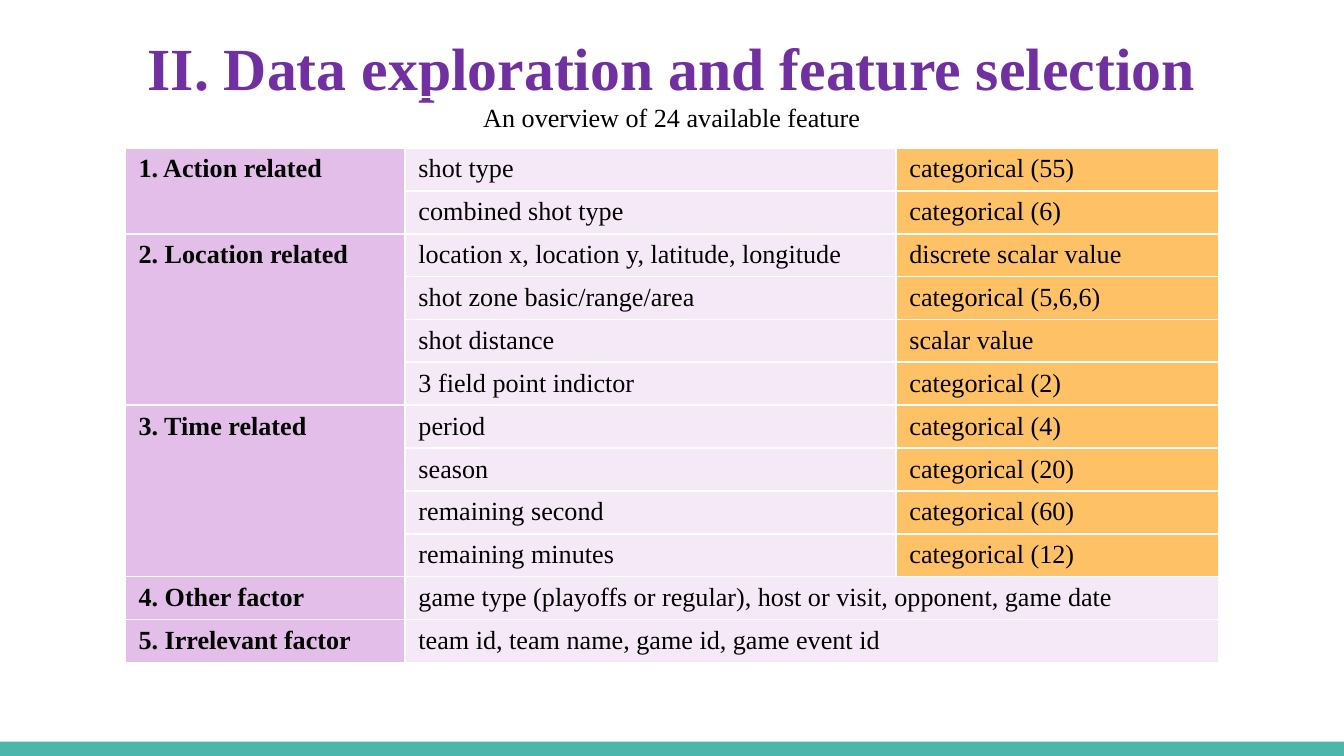
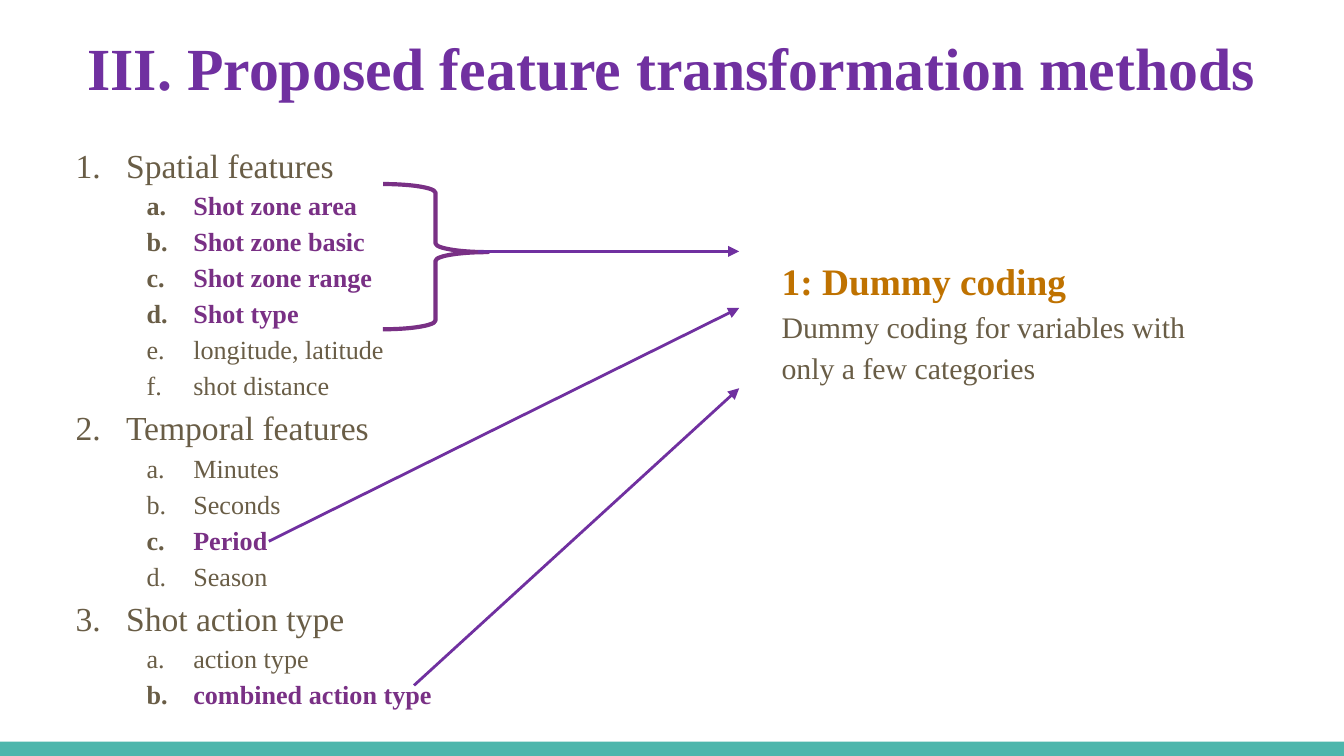
"""Builds two slides on shot data: a feature overview table and the feature transformation methods."""
from dataclasses import dataclass

from lxml.etree import SubElement
from pptx import Presentation
from pptx.dml.color import RGBColor
from pptx.enum.shapes import MSO_CONNECTOR as Connector, MSO_SHAPE as Shape
from pptx.enum.text import MSO_ANCHOR as Anchor, PP_ALIGN as Align
from pptx.oxml.ns import qn
from pptx.util import Pt


@dataclass(frozen=True)
class Theme:
    font: str = "Times New Roman"
    title: str = "7030A0"
    band: str = "4DB6AC"
    ink: str = "000000"
    body: str = "695D46"
    chosen: str = "793085"
    method: str = "BF7200"
    group_fill: str = "E2BEE8"
    feature_fill: str = "F5E9F7"
    kind_fill: str = "FFC166"
    title_size: int = 32
    method_size: int = 20
    heading_size: int = 18
    note_size: int = 16
    item_size: int = 14
    spacing: float = 1.15


THEME = Theme()
WIDTH, HEIGHT, BAND = 720, 405, 7.6
INSET = 7.2

OVERVIEW_TITLE = "II. Data exploration and feature selection"
OVERVIEW_CAPTION = "An overview of 24 available feature"
FEATURE_GROUPS = [
    ("1. Action related", [
        ("shot type", "categorical (55)"),
        ("combined shot type", "categorical (6)"),
    ]),
    ("2. Location related", [
        ("location x, location y, latitude, longitude", "discrete scalar value"),
        ("shot zone basic/range/area", "categorical (5,6,6)"),
        ("shot distance", "scalar value"),
        ("3 field point indictor", "categorical (2)"),
    ]),
    ("3. Time related", [
        ("period", "categorical (4)"),
        ("season", "categorical (20)"),
        ("remaining second", "categorical (60)"),
        ("remaining minutes", "categorical (12)"),
    ]),
    ("4. Other factor", [
        ("game type (playoffs or regular), host or visit, opponent, game date", None),
    ]),
    ("5. Irrelevant factor", [
        ("team id, team name, game id, game event id", None),
    ]),
]
OVERVIEW_LEFT, OVERVIEW_TOP = 67, 52
COLUMN_WIDTHS = (150, 263, 173)
CAPTION_HEIGHT, ROW_HEIGHT = 27.3, 22.97

METHODS_TITLE = "III. Proposed feature transformation methods"
METHOD = "1: Dummy coding"
METHOD_NOTE = "Dummy coding for variables with only a few categories"
OUTLINE = [
    ("Spatial features", ["Shot zone area", "Shot zone basic", "Shot zone range",
                          "Shot type", "longitude, latitude", "shot distance"]),
    ("Temporal features", ["Minutes", "Seconds", "Period", "Season"]),
    ("Shot action type", ["action type", "combined action type"]),
]
DUMMY_CODED = {"Shot zone area", "Shot zone basic", "Shot zone range", "Shot type",
               "Period", "combined action type"}
BRACE = (205.2, 98.6, 56.2, 77.8)
BRACE_ADJUSTMENTS = (0.083, 0.469)
ARROW_TIP_X = 396
ARROWS = [((144, 290), 165), ((221.8, 367.2), 208), ((256.3, 134.7), 134.7)]


def colour(value):
    return RGBColor.from_string(value)


def style(font, size, value, bold=False):
    font.name, font.size, font.bold = THEME.font, Pt(size), bold
    font.color.rgb = colour(value)


def add_text_frame(slide, box, anchor=Anchor.TOP):
    frame = slide.shapes.add_textbox(*map(Pt, box)).text_frame
    frame.word_wrap = True
    frame.vertical_anchor = anchor
    frame.margin_left = frame.margin_right = Pt(INSET)
    frame.margin_top = frame.margin_bottom = Pt(INSET)
    return frame


def add_titled_slide(deck, title):
    slide = deck.slides.add_slide(deck.slide_layouts[6])
    band = slide.shapes.add_shape(
        Shape.RECTANGLE, *map(Pt, (0, HEIGHT - BAND, WIDTH, BAND)))
    band.shadow.inherit = False
    band.fill.solid()
    band.fill.fore_color.rgb = colour(THEME.band)
    band.line.fill.background()
    heading = add_text_frame(slide, (24.5, 6.5, 671, 55.4), Anchor.BOTTOM).paragraphs[0]
    heading.text = title
    heading.alignment = Align.CENTER
    style(heading.runs[0].font, THEME.title_size, THEME.title, bold=True)
    return slide


def fill_cell(cell, text, fill=None, bold=False, align=Align.LEFT):
    cell.margin_left = cell.margin_right = Pt(INSET)
    cell.margin_top, cell.margin_bottom = Pt(3.6), Pt(0)
    cell.vertical_anchor = Anchor.TOP
    if fill:
        cell.fill.solid()
        cell.fill.fore_color.rgb = colour(fill)
    else:
        cell.fill.background()
    line = cell.text_frame.paragraphs[0]
    line.text = text
    line.alignment = align
    style(line.font, THEME.item_size, THEME.ink, bold)
    for run in line.runs:
        style(run.font, THEME.item_size, THEME.ink, bold)


def add_overview(slide):
    feature_count = sum(len(features) for _, features in FEATURE_GROUPS)
    overview = slide.shapes.add_table(
        feature_count + 1, len(COLUMN_WIDTHS), Pt(OVERVIEW_LEFT), Pt(OVERVIEW_TOP),
        Pt(sum(COLUMN_WIDTHS)), Pt(CAPTION_HEIGHT + feature_count * ROW_HEIGHT)).table
    overview.first_row = overview.horz_banding = False
    for column, width in zip(overview.columns, COLUMN_WIDTHS):
        column.width = Pt(width)
    for index, row in enumerate(overview.rows):
        row.height = Pt(ROW_HEIGHT if index else CAPTION_HEIGHT)
        for cell in row.cells:
            fill_cell(cell, "")

    overview.cell(0, 0).merge(overview.cell(0, 2))
    fill_cell(overview.cell(0, 0), OVERVIEW_CAPTION, align=Align.CENTER)
    top = 1
    for group, features in FEATURE_GROUPS:
        if len(features) > 1:
            overview.cell(top, 0).merge(overview.cell(top + len(features) - 1, 0))
        fill_cell(overview.cell(top, 0), group, THEME.group_fill, bold=True)
        for row, (feature, kind) in enumerate(features, top):
            if kind:
                fill_cell(overview.cell(row, 2), kind, THEME.kind_fill)
            else:
                overview.cell(row, 1).merge(overview.cell(row, 2))
            fill_cell(overview.cell(row, 1), feature, THEME.feature_fill)
        top += len(features)


def number(line, level, scheme, left, hanging):
    line.level = level
    properties = line._p.get_or_add_pPr()
    properties.set("marL", str(Pt(left)))
    properties.set("indent", str(-Pt(hanging)))
    bullet_colour = SubElement(properties, qn("a:buClr"))
    SubElement(bullet_colour, qn("a:srgbClr"), val=THEME.body)
    SubElement(properties, qn("a:buFont"), typeface=THEME.font)
    SubElement(properties, qn("a:buAutoNum"), type=scheme)


def add_outline(slide):
    frame = add_text_frame(slide, (24.5, 67, 236, 319.7))
    entries = [entry for heading, items in OUTLINE
               for entry in [(heading, 0), *((item, 1) for item in items)]]
    for index, (text, level) in enumerate(entries):
        line = frame.add_paragraph() if index else frame.paragraphs[0]
        line.text = text
        if level:
            number(line, level, "alphaLcPeriod", 72, 25)
        else:
            number(line, level, "arabicPeriod", 36, 27)
        line.line_spacing = THEME.spacing
        chosen = text in DUMMY_CODED
        style(line.runs[0].font, THEME.item_size if level else THEME.heading_size,
              THEME.chosen if chosen else THEME.body, chosen)


def add_method(slide):
    frame = add_text_frame(slide, (402.5, 126.7, 262, 87.8), Anchor.MIDDLE)
    frame.margin_left = Pt(INSET + 9)
    line = frame.paragraphs[0]
    line.text = f"{METHOD}\v{METHOD_NOTE}"
    line.line_spacing = THEME.spacing
    name, note = line.runs
    style(name.font, THEME.method_size, THEME.method, bold=True)
    style(note.font, THEME.note_size, THEME.body)


def add_links(slide):
    brace = slide.shapes.add_shape(Shape.RIGHT_BRACE, *map(Pt, BRACE))
    brace.shadow.inherit = False
    brace.fill.background()
    brace.line.color.rgb = colour(THEME.chosen)
    brace.line.width = Pt(2.25)
    for index, value in enumerate(BRACE_ADJUSTMENTS):
        brace.adjustments[index] = value
    for start, tip_y in ARROWS:
        arrow = slide.shapes.add_connector(
            Connector.STRAIGHT, *map(Pt, (*start, ARROW_TIP_X, tip_y)))
        arrow.line.color.rgb = colour(THEME.title)
        arrow.line.width = Pt(1.5)
        SubElement(arrow.line._get_or_add_ln(), qn("a:tailEnd"), type="triangle")
        SubElement(arrow._element.spPr, qn("a:effectLst"))


def main():
    deck = Presentation()
    deck.slide_width, deck.slide_height = Pt(WIDTH), Pt(HEIGHT)
    add_overview(add_titled_slide(deck, OVERVIEW_TITLE))
    methods = add_titled_slide(deck, METHODS_TITLE)
    add_method(methods)
    add_outline(methods)
    add_links(methods)
    deck.save("out.pptx")


if __name__ == "__main__":
    main()
